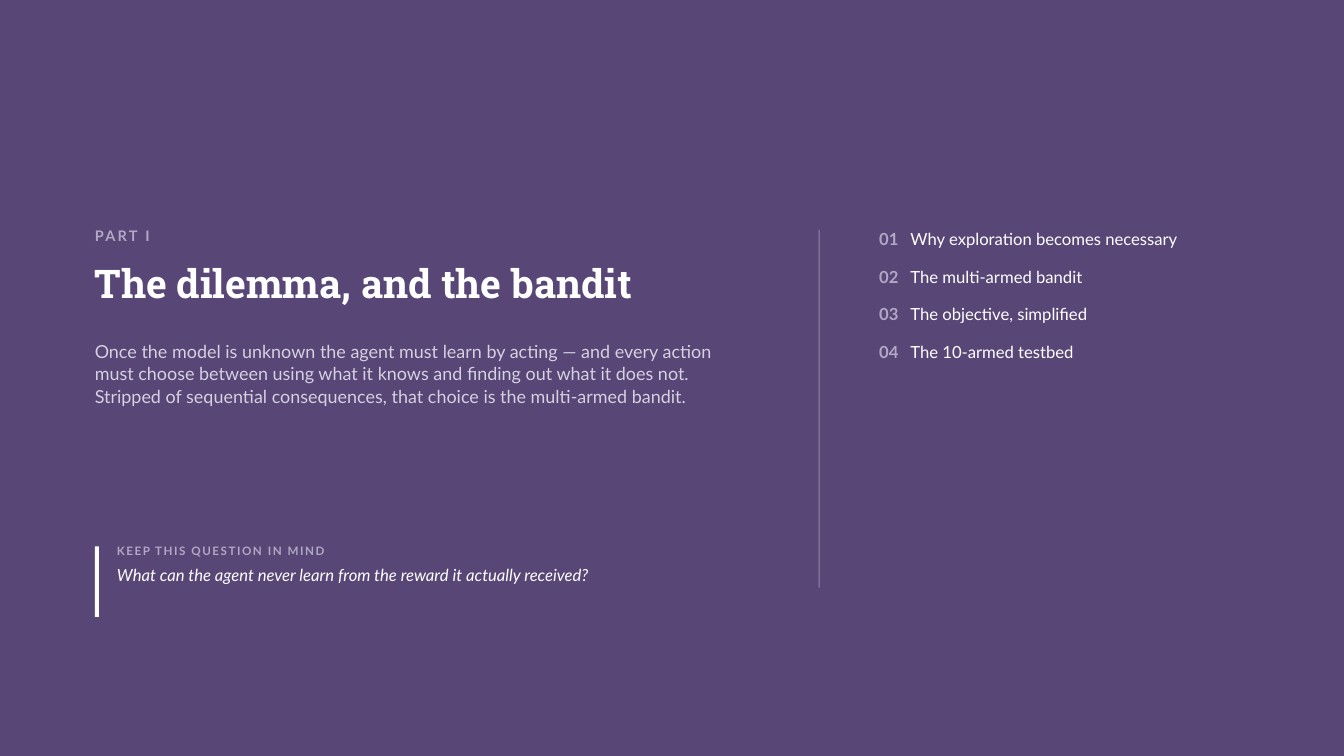
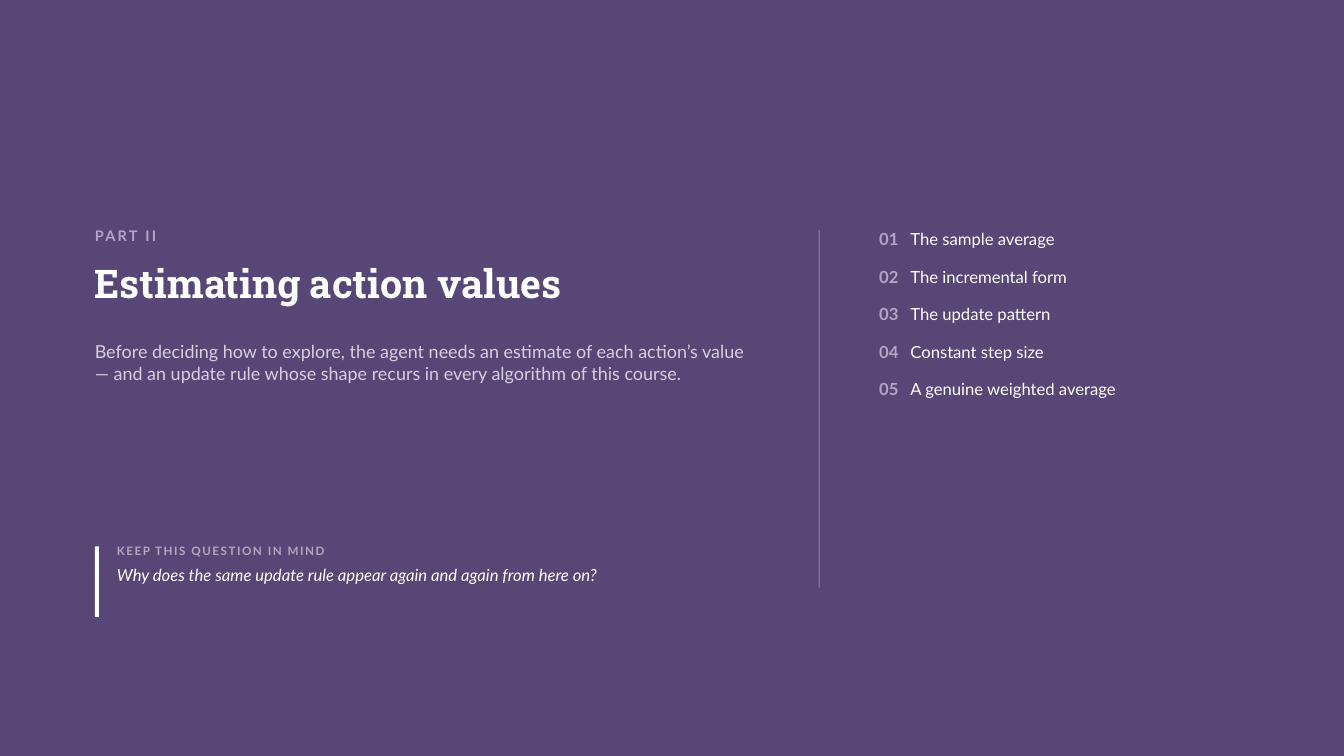
from lxml.etree import SubElement
from pptx import Presentation
from pptx.dml.color import RGBColor
from pptx.enum.shapes import MSO_SHAPE
from pptx.enum.text import MSO_ANCHOR, MSO_AUTO_SIZE, PP_ALIGN
from pptx.oxml.ns import qn
from pptx.util import Inches, Pt

PURPLE, WHITE = "574676", "FFFFFF"
LABEL, BODY, RULE = "B2A7C4", "D6D0E0", "9486AC"
LEFT, TOP = 0.94, 2.28
NUMBER_WIDTH = Inches(0.31)


def color(value):
    return RGBColor.from_string(value)


def write(paragraph, text, size, hue, leading, font="Lato", bold=False, italic=False, tracking=0):
    paragraph.alignment = PP_ALIGN.LEFT
    paragraph.line_spacing = Pt(leading)
    span = paragraph.add_run()
    span.text = text
    span.font.name = font
    span.font.size = Pt(size)
    span.font.bold = bold
    span.font.italic = italic
    span.font.color.rgb = color(hue)
    if tracking:
        span.font._element.set("spc", str(round(tracking * 100)))


parts = [
    {
        "label": "PART I",
        "title": "The dilemma, and the bandit",
        "summary": "Once the model is unknown the agent must learn by acting — and every action must "
                   "choose between using what it knows and finding out what it does not. Stripped of "
                   "sequential consequences, that choice is the multi-armed bandit.",
        "question": "What can the agent never learn from the reward it actually received?",
        "topics": ["Why exploration becomes necessary", "The multi-armed bandit",
                   "The objective, simplified", "The 10-armed testbed"],
    },
    {
        "label": "PART II",
        "title": "Estimating action values",
        "summary": "Before deciding how to explore, the agent needs an estimate of each action’s value "
                   "— and an update rule whose shape recurs in every algorithm of this course.",
        "question": "Why does the same update rule appear again and again from here on?",
        "topics": ["The sample average", "The incremental form", "The update pattern",
                   "Constant step size", "A genuine weighted average"],
    },
]
places = {
    "label": (LEFT, TOP, 3, 0.26),
    "title": (LEFT, 2.62, 6.9, 0.5),
    "summary": (LEFT, 3.36, 6.5, 0.72),
    "question": (1.16, 5.42, 6.3, 0.74),
    "topics": (8.72, TOP, 3.7, 3.55),
}
bars = [(LEFT, 5.42, 0.04, 0.7, WHITE), (8.12, TOP, 0.01, 3.55, RULE)]

deck = Presentation()
deck.slide_width, deck.slide_height = Inches(13.33), Inches(7.5)
layout = deck.slide_layouts[5]
layout.background.fill.solid()
layout.background.fill.fore_color.rgb = color(PURPLE)

for part in parts:
    page = deck.slides.add_slide(layout)

    for left, top, width, height, hue in bars:
        bar = page.shapes.add_shape(MSO_SHAPE.RECTANGLE, Inches(left), Inches(top), Inches(width), Inches(height))
        bar.shadow.inherit = False
        bar.fill.solid()
        bar.fill.fore_color.rgb = color(hue)
        bar.line.fill.background()

    frames = {}
    for name, place in places.items():
        left, top, width, height = map(Inches, place)
        if name == "title":
            box = page.shapes.title
            box.left, box.top, box.width, box.height = left, top, width, height
        else:
            box = page.shapes.add_textbox(left, top, width, height)
        frame = box.text_frame
        frame.margin_left = frame.margin_top = frame.margin_right = frame.margin_bottom = 0
        frame.word_wrap = True
        frame.auto_size = MSO_AUTO_SIZE.NONE
        frame.vertical_anchor = MSO_ANCHOR.TOP
        frames[name] = frame

    write(frames["label"].paragraphs[0], part["label"], 10.4, LABEL, 10.4, bold=True, tracking=1.6)
    write(frames["title"].paragraphs[0], part["title"], 28.2, WHITE, 29.9, font="Roboto Slab", bold=True)
    write(frames["summary"].paragraphs[0], part["summary"], 12.8, BODY, 16.4)
    write(frames["question"].paragraphs[0], "KEEP THIS QUESTION IN MIND", 8.3, LABEL, 8.3, bold=True, tracking=1.1)
    para = frames["question"].add_paragraph()
    para.space_before = Pt(5)
    write(para, part["question"], 11.9, WHITE, 14, italic=True)

    for number, topic in enumerate(part["topics"], 1):
        para = frames["topics"].paragraphs[0] if number == 1 else frames["topics"].add_paragraph()
        properties = para._p.get_or_add_pPr()
        properties.set("marL", str(NUMBER_WIDTH))
        properties.set("indent", str(-NUMBER_WIDTH))
        tabs = SubElement(properties, qn("a:tabLst"))
        SubElement(tabs, qn("a:tab"), pos=str(NUMBER_WIDTH), algn="l")
        if number > 1:
            para.space_before = Pt(13)
        write(para, f"{number:02}\t", 11.9, LABEL, 13.8, bold=True)
        write(para, topic, 11.9, WHITE, 13.8)

deck.save("out.pptx")
